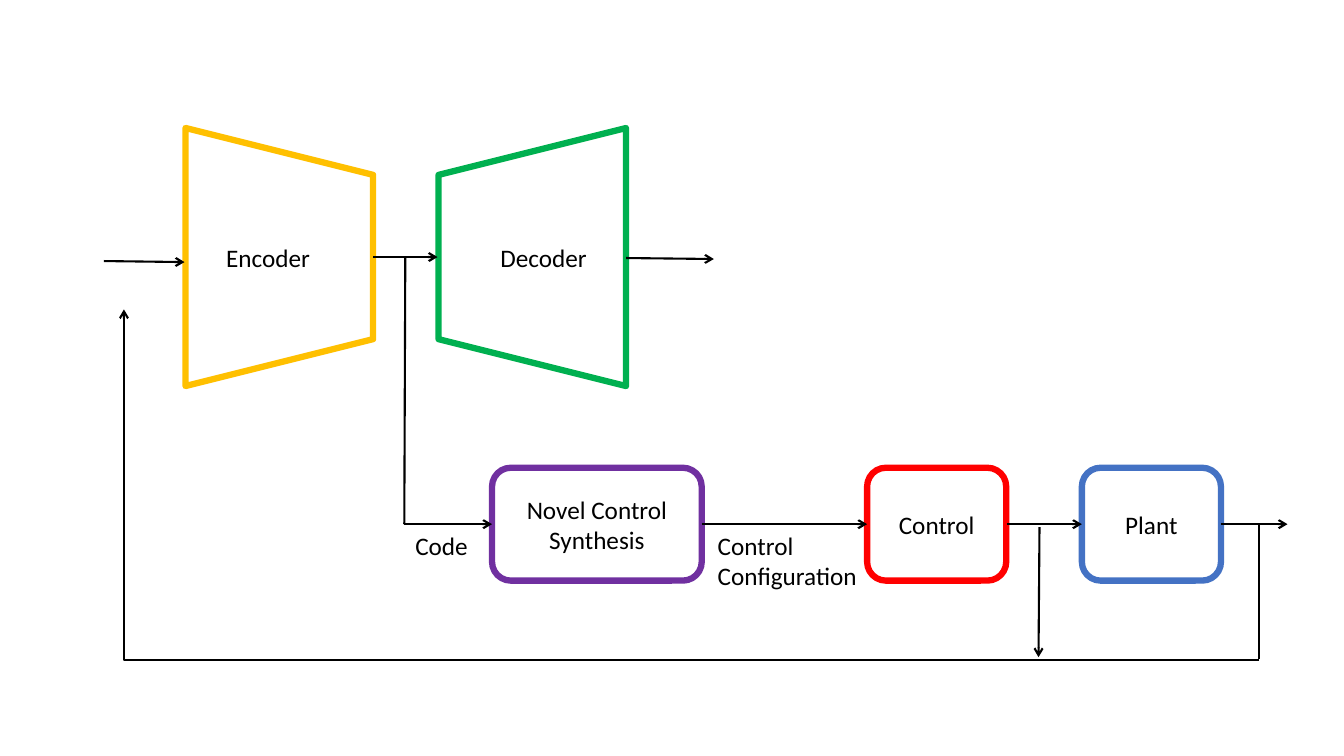
from dataclasses import dataclass
from typing import Optional

from lxml.etree import SubElement
from pptx import Presentation
from pptx.dml.color import RGBColor
from pptx.enum.shapes import MSO_CONNECTOR, MSO_SHAPE
from pptx.enum.text import MSO_ANCHOR, MSO_AUTO_SIZE, PP_ALIGN
from pptx.oxml.ns import qn
from pptx.slide import Slide
from pptx.text.text import TextFrame
from pptx.util import Emu, Pt

EMU_PER_PX = 9144  # 100 px to the inch


@dataclass(frozen=True)
class Theme:
    font: str = "Calibri"
    text_size: int = 18
    outline_width: float = 4.5
    arrow_width: float = 1.5
    ink: str = "000000"
    encoder: str = "FFC000"
    decoder: str = "00B050"
    synthesis: str = "7030A0"
    control: str = "FF0000"
    plant: str = "4472C4"


THEME = Theme()


@dataclass(frozen=True)
class Block:
    text: str
    color: str
    left: int
    top: int
    width: int
    height: int
    preset: MSO_SHAPE = MSO_SHAPE.ROUNDED_RECTANGLE
    rotation: int = 0
    text_direction: Optional[str] = None


@dataclass(frozen=True)
class Label:
    text: str
    left: int
    top: int
    width: int
    height: int


@dataclass(frozen=True)
class Wire:
    start: tuple[int, int]
    end: tuple[int, int]
    arrow: bool = True
    bent: bool = False


BLOCKS = [
    Block("Encoder", THEME.encoder, 149, 162, 256, 186, MSO_SHAPE.TRAPEZOID, 90, "vert270"),
    Block("Decoder", THEME.decoder, 400, 162, 256, 186, MSO_SHAPE.TRAPEZOID, 270, "vert"),
    Block("Novel Control Synthesis", THEME.synthesis, 488, 464, 208, 112),
    Block("Control", THEME.control, 860, 464, 138, 112),
    Block("Plant", THEME.plant, 1073, 464, 138, 112),
]

LABELS = [
    Label("Code", 402, 521, 72, 40),
    Label("Control\nConfiguration", 702, 521, 158, 71),
]

WIRES = [
    # Encoder and decoder row
    Wire((103, 259), (183, 260)),
    Wire((370, 255), (434, 255)),
    Wire((621, 256), (708, 257)),
    # Code branch down to the synthesis block
    Wire((402, 256), (401, 520), arrow=False),
    Wire((401, 520), (488, 520)),
    # Control row
    Wire((696, 520), (860, 520)),
    Wire((999, 520), (1073, 520)),
    Wire((1211, 520), (1277, 520)),
    # Feedback loop
    Wire((1249, 655), (123, 307), bent=True),
    Wire((1249, 654), (1249, 521), arrow=False),
    Wire((1031, 523), (1030, 652)),
]


def px(value: int) -> Emu:
    return Emu(value * EMU_PER_PX)


def write_text(text_frame: TextFrame, text: str, alignment: PP_ALIGN) -> None:
    text_frame.text = text
    for paragraph in text_frame.paragraphs:
        paragraph.alignment = alignment
        for run in paragraph.runs:
            run.font.name = THEME.font
            run.font.size = Pt(THEME.text_size)
            run.font.color.rgb = RGBColor.from_string(THEME.ink)


def draw_block(slide: Slide, block: Block) -> None:
    shape = slide.shapes.add_shape(
        block.preset, px(block.left), px(block.top), px(block.width), px(block.height)
    )
    shape.rotation = block.rotation
    shape.shadow.inherit = False
    shape.fill.background()
    shape.line.color.rgb = RGBColor.from_string(block.color)
    shape.line.width = Pt(THEME.outline_width)
    text_frame = shape.text_frame
    text_frame.word_wrap = True
    text_frame.vertical_anchor = MSO_ANCHOR.MIDDLE
    if block.text_direction:
        text_frame._txBody.bodyPr.set("vert", block.text_direction)
    write_text(text_frame, block.text, PP_ALIGN.CENTER)


def draw_label(slide: Slide, label: Label) -> None:
    box = slide.shapes.add_textbox(
        px(label.left), px(label.top), px(label.width), px(label.height)
    )
    box.text_frame.word_wrap = False
    box.text_frame.auto_size = MSO_AUTO_SIZE.SHAPE_TO_FIT_TEXT
    write_text(box.text_frame, label.text, PP_ALIGN.LEFT)


def draw_wire(slide: Slide, wire: Wire) -> None:
    kind = MSO_CONNECTOR.ELBOW if wire.bent else MSO_CONNECTOR.STRAIGHT
    connector = slide.shapes.add_connector(
        kind, *(px(value) for value in wire.start + wire.end)
    )
    connector.line.color.rgb = RGBColor.from_string(THEME.ink)
    connector.line.width = Pt(THEME.arrow_width)
    properties = connector._element.spPr
    if wire.bent:  # one corner only
        properties.find(qn("a:prstGeom")).set("prst", "bentConnector2")
    if wire.arrow:
        SubElement(connector.get_or_add_ln(), qn("a:tailEnd"), type="arrow")
    SubElement(properties, qn("a:effectLst"))


def main() -> None:
    presentation = Presentation()
    presentation.slide_width = px(1333)
    presentation.slide_height = px(750)
    slide = presentation.slides.add_slide(presentation.slide_layouts[6])
    for block in BLOCKS:
        draw_block(slide, block)
    for label in LABELS:
        draw_label(slide, label)
    for wire in WIRES:
        draw_wire(slide, wire)
    presentation.save("out.pptx")


if __name__ == "__main__":
    main()
